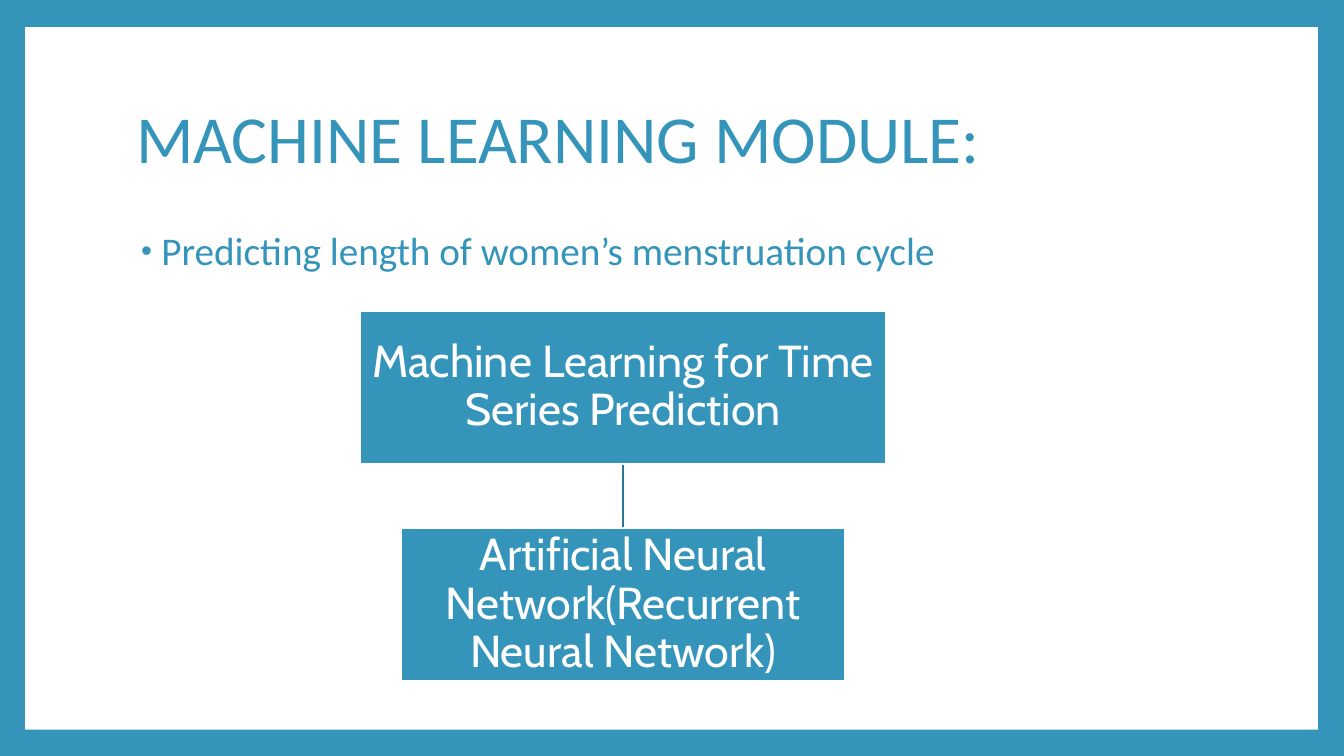
import pptx
import pptx.util
import pptx.dml.color
import pptx.enum.shapes
import pptx.enum.text
import pptx.oxml.ns
import lxml.etree

BLUE, DARK_BLUE, WHITE = "3494BA", "2A7795", "FFFFFF"
Inches, Pt = pptx.util.Inches, pptx.util.Pt


def paint(color_format, color):
    color_format.rgb = pptx.dml.color.RGBColor.from_string(color)


def write(sp, text, size, font, color, align, anchor):
    tf = sp.text_frame
    tf.text = text
    tf.word_wrap = True
    tf.auto_size = pptx.enum.text.MSO_AUTO_SIZE.NONE
    tf.vertical_anchor = anchor
    p = tf.paragraphs[0]
    p.alignment = align
    p.line_spacing = 0.9
    r = p.runs[0]
    r.font.size = Pt(size)
    r.font.name = font
    paint(r.font.color, color)
    return p


prs = pptx.Presentation()
prs.slide_width, prs.slide_height = Inches(13.33), Inches(7.5)
s = prs.slides.add_slide(prs.slide_layouts[1])
rect = pptx.enum.shapes.MSO_SHAPE.RECTANGLE
left, center = pptx.enum.text.PP_ALIGN.LEFT, pptx.enum.text.PP_ALIGN.CENTER
top, middle = pptx.enum.text.MSO_ANCHOR.TOP, pptx.enum.text.MSO_ANCHOR.MIDDLE

# Blue frame around a white panel, behind the placeholders
s.background.fill.solid()
paint(s.background.fill.fore_color, BLUE)
panel = s.shapes.add_shape(rect, Inches(0.25), Inches(0.27), Inches(12.82), Inches(6.97))
panel.shadow.inherit = False
panel.fill.solid()
paint(panel.fill.fore_color, WHITE)
panel.line.fill.background()
s.shapes._spTree.insert(2, panel._element)

# Title and bullet share one column
title, body = s.shapes.title, s.placeholders[1]
for sp, y, height in ((title, 0.67, 1.48), (body, 2.25, 4.42)):
    sp.left, sp.top = Inches(1.25), Inches(y)
    sp.width, sp.height = Inches(10.8), Inches(height)
write(title, "MACHINE LEARNING MODULE:", 48, "Calibri", BLUE, left, middle)
p = write(body, "Predicting length of women’s menstruation cycle",
          28, "Calibri", BLUE, left, top)
p.space_before = Pt(14)
pPr = p._p.get_or_add_pPr()
pPr.set("marL", str(Inches(0.25)))
pPr.set("indent", str(Inches(-0.2)))
qn = pptx.oxml.ns.qn
bullet_color = lxml.etree.SubElement(pPr, qn("a:buClr"))
lxml.etree.SubElement(bullet_color, qn("a:srgbClr"), val=BLUE)
lxml.etree.SubElement(pPr, qn("a:buSzPct"), val="80000")
lxml.etree.SubElement(pPr, qn("a:buFont"), typeface="Arial")
lxml.etree.SubElement(pPr, qn("a:buChar"), char="•")

# Hierarchy: two boxes centred on one axis
axis, first_top, box_height, gap = 6.18, 3.08, 1.52, 0.64
boxes = []
for row, (text, width) in enumerate((
        ("Machine Learning for Time Series Prediction", 5.22),
        ("Artificial Neural Network(Recurrent Neural Network)", 4.41))):
    y = first_top + row * (box_height + gap)
    sp = s.shapes.add_shape(rect, Inches(axis - width / 2), Inches(y),
                            Inches(width), Inches(box_height))
    sp.shadow.inherit = False
    sp.fill.solid()
    paint(sp.fill.fore_color, BLUE)
    paint(sp.line.color, WHITE)
    sp.line.width = Pt(1.5)
    tf = sp.text_frame
    tf.margin_left = tf.margin_right = tf.margin_top = tf.margin_bottom = Inches(0.02)
    write(sp, text, 32, "Cabin", WHITE, center, middle)
    boxes.append(sp)

# Link from the bottom of the first box to the top of the second
link = s.shapes.add_connector(pptx.enum.shapes.MSO_CONNECTOR.STRAIGHT, 0, 0, 0, 0)
link.begin_connect(boxes[0], 2)
link.end_connect(boxes[1], 0)
paint(link.line.color, DARK_BLUE)
link.line.width = Pt(1.5)
lxml.etree.SubElement(link._element.spPr, qn("a:effectLst"))
s.shapes._spTree.insert(s.shapes._spTree.index(boxes[0]._element), link._element)

prs.save("out.pptx")
